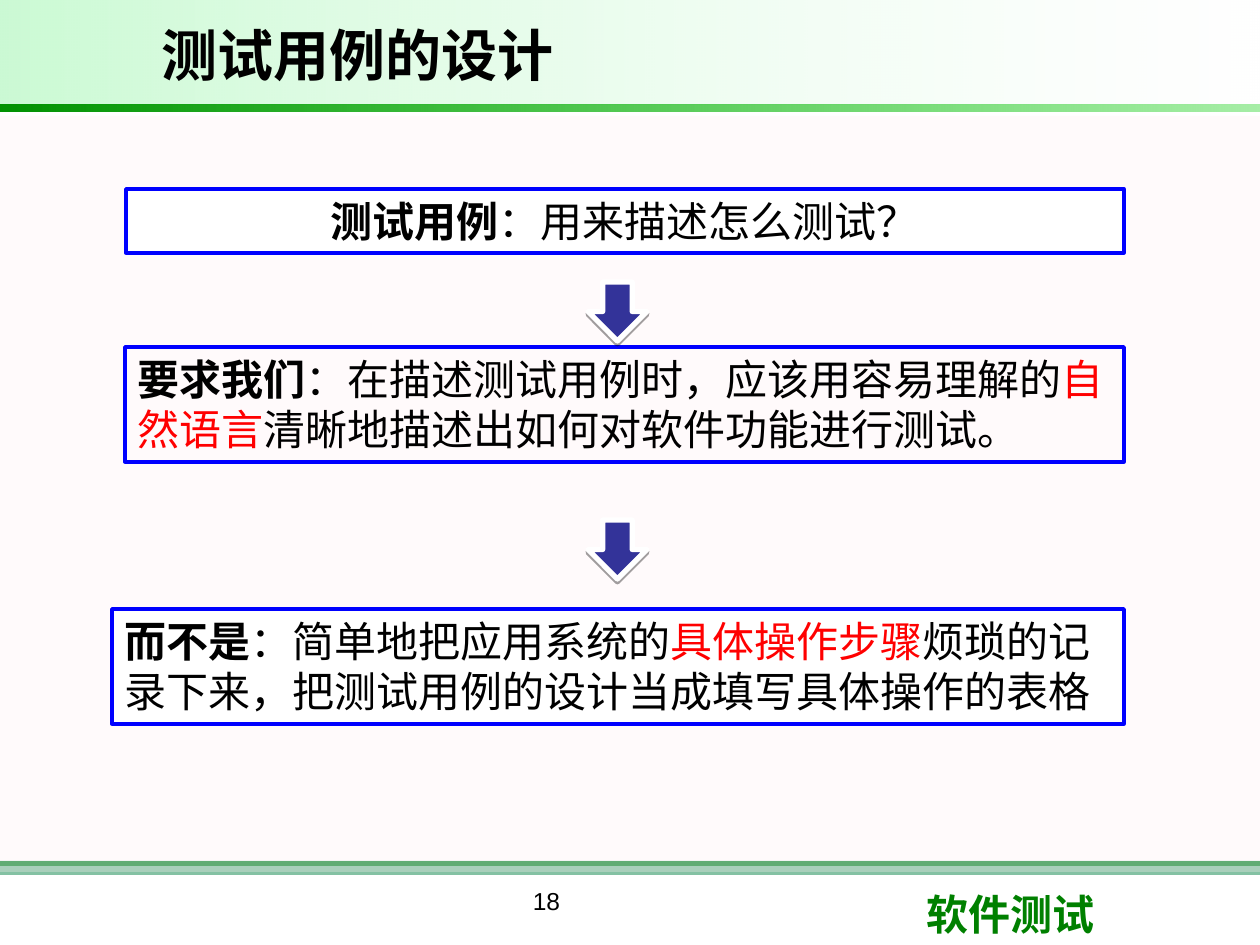
from lxml import etree
from pptx import Presentation, util as u
from pptx.dml.color import RGBColor
from pptx.enum import shapes, text
from pptx.oxml import ns

PX = 914400 / 126
BLACK = RGBColor(0, 0, 0)
WHITE = RGBColor(255, 255, 255)
RED = RGBColor(255, 0, 0)
BLUE = RGBColor(0, 0, 255)
NAVY = RGBColor(0x33, 0x33, 0x99)
GREEN = RGBColor(0, 0x80, 0)
SEA = RGBColor(0x33, 0x99, 0x66)
PINK = RGBColor(0xFF, 0xF0, 0xF5)
MINT = RGBColor(0x09, 0xE7, 0x33)
DARK = RGBColor(0, 0x92, 0)
LIME = RGBColor(0, 0xCC, 0)

deck = Presentation()
deck.slide_width, deck.slide_height = u.Inches(10), u.Inches(7.5)
slide = deck.slides.add_slide(deck.slide_layouts[6])


def draw(area, stops, kind=shapes.MSO_SHAPE.RECTANGLE, line=None, width=2):
    """Add a shape; stops are (colour, opacity %): none, one, or two for a gradient."""
    item = slide.shapes.add_shape(kind, *[round(n * PX) for n in area])
    item.shadow.inherit = False
    if len(stops) == 2:
        item.fill.gradient()
        item.fill.gradient_angle = 0
        for stop, (tint, _) in zip(item.fill.gradient_stops, stops):
            stop.color.rgb = tint
    elif stops:
        item.fill.solid()
        item.fill.fore_color.rgb = stops[0][0]
    else:
        item.fill.background()
    tints = item._element.spPr.findall(".//" + ns.qn("a:srgbClr"))
    for node, (_, share) in zip(tints, stops):
        if share < 100:
            etree.SubElement(node, ns.qn("a:alpha"), val=str(share * 1000))
    if line is None:
        item.line.fill.background()
    else:
        item.line.color.rgb = line
        item.line.width = u.Pt(width)
    return item


def write(words, area=None, box=None, size=24, align=text.PP_ALIGN.LEFT,
          anchor=text.MSO_ANCHOR.TOP):
    """Fill a box, new if none is given, with runs of (text, colour, bold, font)."""
    if box is None:
        box = slide.shapes.add_textbox(*[round(n * PX) for n in area])
    frame = box.text_frame
    frame.word_wrap = True
    frame.vertical_anchor = anchor
    para = frame.paragraphs[0]
    para.alignment = align
    for part, tint, bold, face in words:
        run = para.add_run()
        run.text = part
        run.font.name, run.font.size = face, u.Pt(size)
        run.font.bold, run.font.color.rgb = bold, tint


# Background bands
draw((0, 861, 1260, 5), [(GREEN, 100)])
draw((0, 861, 1260, 14), [(SEA, 60)])
draw((0, 116, 1260, 756), [(PINK, 30)])
draw((0, 0, 1260, 105), [(MINT, 21), (WHITE, 10)])
draw((0, 105, 1260, 7), [(DARK, 100), (LIME, 35)])

# Title and footer
write([("测试用例的设计", BLACK, True, "Arial")], (149, 10, 878, 89), size=32,
      anchor=text.MSO_ANCHOR.MIDDLE)
write([("软件测试", GREEN, True, "Arial")], (914, 882, 299, 63))
write([("18", BLACK, False, "Arial")], (347, 880, 399, 65), size=14,
      align=text.PP_ALIGN.CENTER)

# Statement boxes
boxes = [
    ((126, 189, 998, 64), [(WHITE, 100)], text.PP_ALIGN.CENTER,
     [("测试用例", BLACK, True, "Arial"),
      ("：用来描述怎么测试", BLACK, False, "Arial"),
      ("？", BLACK, False, "Noto Sans CJK SC")]),
    ((125, 347, 999, 115), [], text.PP_ALIGN.LEFT,
     [("要求我们", BLACK, True, "Arial"),
      ("：在描述测试用例时，应该用容易理解的", BLACK, False, "Arial"),
      ("自然语言", RED, False, "Arial"),
      ("清晰地描述出如何对软件功能进行测试。", BLACK, False, "Arial")]),
    ((112, 609, 1012, 115), [(WHITE, 100)], text.PP_ALIGN.LEFT,
     [("而不是", BLACK, True, "Arial"),
      ("：简单地把应用系统的", BLACK, False, "Arial"),
      ("具体操作步骤", RED, False, "Arial"),
      ("烦琐的记录下来，把测试用例的设计当成填写具体操作的表格",
       BLACK, False, "Arial")]),
]
for area, stops, align, words in boxes:
    write(words, box=draw(area, stops, line=BLUE), align=align)

# Arrows with a soft drop shadow
for top in (282, 520):
    arrow = draw((588, top, 59, 59), [(NAVY, 100)], shapes.MSO_SHAPE.DOWN_ARROW,
                 line=WHITE, width=3)
    effect = arrow._element.spPr.find(ns.qn("a:effectLst"))
    shade = etree.SubElement(effect, ns.qn("a:outerShdw"), blurRad="0",
                             dist=str(u.Pt(1.6)), dir="5400000", rotWithShape="0")
    tint = etree.SubElement(shade, ns.qn("a:srgbClr"), val=str(BLACK))
    etree.SubElement(tint, ns.qn("a:alpha"), val="36000")

deck.save("out.pptx")
